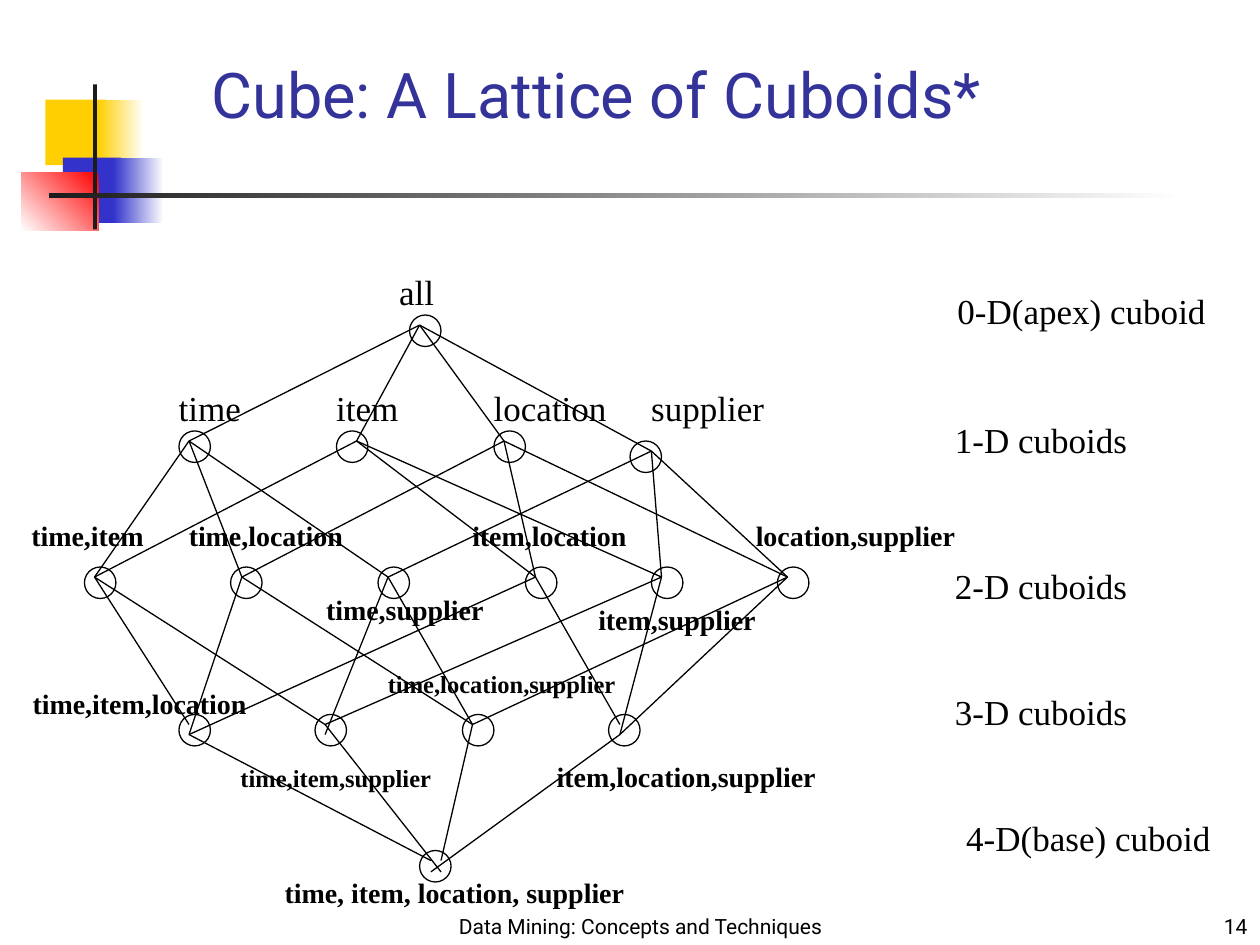
"""Build a slide showing the lattice of cuboids of a four-dimensional data cube."""
from dataclasses import dataclass

from lxml import etree
from pptx import Presentation
from pptx.dml.color import RGBColor
from pptx.enum.shapes import MSO_CONNECTOR, MSO_SHAPE
from pptx.enum.text import MSO_ANCHOR, MSO_AUTO_SIZE, PP_ALIGN
from pptx.oxml.ns import qn
from pptx.util import Inches, Pt

RECT = MSO_SHAPE.RECTANGLE
NODE = MSO_SHAPE.FLOWCHART_CONNECTOR
STRAIGHT = MSO_CONNECTOR.STRAIGHT
LEFT, CENTER, RIGHT = PP_ALIGN.LEFT, PP_ALIGN.CENTER, PP_ALIGN.RIGHT
TOP, BOTTOM = MSO_ANCHOR.TOP, MSO_ANCHOR.BOTTOM
FIT, FIXED = MSO_AUTO_SIZE.SHAPE_TO_FIT_TEXT, MSO_AUTO_SIZE.NONE


@dataclass(frozen=True)
class Theme:
    sans: str = "Roboto"
    serif: str = "Times New Roman"
    title: str = "333399"
    ink: str = "000000"
    paper: str = "FFFFFF"
    yellow: str = "FFCF01"
    blue: str = "3333CC"
    red: str = "FF0000"
    dark: str = "1C1C1C"
    title_size: int = 36
    label_size: int = 20
    cuboid_size: int = 16
    small_size: int = 14
    footer_size: int = 12
    line_width: float = 0.75
    node_size: float = 0.25


class Deck:
    def __init__(self, theme, slide):
        self.theme = theme
        self.s = slide

    def shape(self, kind, x, y, w, h):
        sp = self.s.shapes.add_shape(kind, Inches(x), Inches(y), Inches(w), Inches(h))
        sp.shadow.inherit = False
        return sp

    def block(self, x, y, w, h, color):
        sp = self.shape(RECT, x, y, w, h)
        sp.fill.solid()
        sp.fill.fore_color.rgb = RGBColor.from_string(color)
        sp.line.fill.background()

    def fade(self, x, y, w, h, start, end, angle=180):
        sp = self.shape(RECT, x, y, w, h)
        sp.fill.gradient()
        sp.fill.gradient_angle = angle
        for stop, color in zip(sp.fill.gradient_stops, (start, end)):
            stop.color.rgb = RGBColor.from_string(color)
        sp.line.fill.background()

    def node(self, x, y):
        t = self.theme
        sp = self.shape(NODE, x, y, t.node_size, t.node_size)
        sp.fill.solid()
        sp.fill.fore_color.rgb = RGBColor.from_string(t.paper)
        self.stroke(sp.line)

    def edge(self, start, end):
        c = self.s.shapes.add_connector(STRAIGHT, *map(Inches, start + end))
        etree.SubElement(c._element.spPr, qn("a:effectLst"))
        self.stroke(c.line)

    def stroke(self, line):
        line.color.rgb = RGBColor.from_string(self.theme.ink)
        line.width = Pt(self.theme.line_width)

    def text(self, words, x, y, w, h, size, font=None, color=None,
             bold=False, align=LEFT, anchor=TOP, wrap=False):
        t = self.theme
        box = self.s.shapes.add_textbox(Inches(x), Inches(y), Inches(w), Inches(h))
        tf = box.text_frame
        tf.word_wrap = wrap
        tf.auto_size = FIXED if wrap else FIT
        tf.vertical_anchor = anchor
        p = tf.paragraphs[0]
        p.text = words
        p.alignment = align
        p.font.name = font or t.serif
        p.font.size = Pt(size)
        p.font.bold = bold
        p.font.color.rgb = RGBColor.from_string(color or t.ink)


NODE_ROWS = [
    (2.5, [3.25]),
    (3.42, [1.42, 2.67, 3.92]),
    (3.5, [5]),
    (4.5, [0.67, 1.83, 3, 4.17, 5.17, 6.17]),
    (5.67, [1.42, 2.5, 3.67, 4.83]),
    (6.75, [3.33]),
]

ALL = (3.33, 2.58)
TIME, ITEM, LOCATION, SUPPLIER = (1.5, 3.5), (2.83, 3.5), (4, 3.5), (5.17, 3.58)
TI, TL, TS, IL, IS, LS = [(x, 4.58) for x in (0.75, 1.92, 3.08, 4.25, 5.25, 6.25)]
TIL, TIS, TLS, ILS = [(x, 5.75) for x in (1.5, 2.58, 3.75, 4.92)]
TIL_LOW, TIS_LOW, ILS_LOW = [(x, 5.83) for x in (1.5, 2.58, 4.92)]

FANS = {
    ALL: [TIME, ITEM, LOCATION, SUPPLIER],
    TIME: [TI, TL, TS],
    ITEM: [TI, IL, IS],
    LOCATION: [IL, LS, TL],
    SUPPLIER: [TS, IS, LS],
    TI: [TIL, TIS],
    TL: [TIL_LOW, TLS],
    TS: [TIS_LOW, TLS],
    IL: [TIL_LOW, ILS],
    IS: [TIS, ILS_LOW],
    LS: [ILS_LOW, TLS],
    TIL_LOW: [(3.42, 6.83)],
    TIS: [(3.5, 6.92)],
    TLS: [(3.5, 6.83)],
    ILS_LOW: [(3.42, 6.92)],
}

DIMENSIONS = [
    ("all", 3.07, 2.1, 0.5),
    ("time", 1.32, 3.02, 0.71),
    ("item", 2.57, 3.02, 0.71),
    ("location", 3.82, 3.02, 1.11),
    ("supplier", 5.07, 3.02, 1.11),
]
CUBOIDS = [
    ("time,item", 0.15, 4.07, 1.11),
    ("time,location", 1.4, 4.07, 1.44),
    ("time,supplier", 2.49, 4.65, 1.47),
    ("item,location", 3.65, 4.07, 1.44),
    ("item,supplier", 4.65, 4.73, 1.47),
    ("location,supplier", 5.9, 4.07, 1.8),
    ("time,item,location", 0.16, 5.4, 1.92),
    ("item,location,supplier", 4.32, 5.98, 2.27),
    ("time, item, location, supplier", 2.16, 6.9, 2.91),
]
SMALL_CUBOIDS = [
    ("time,item,supplier", 1.81, 6.01, 1.73),
    ("time,location,supplier", 2.98, 5.26, 2.03),
]
LEVELS = [
    ("0-D(apex) cuboid", 7.5, 2.25, 2.19),
    ("1-D cuboids", 7.48, 3.27, 1.59),
    ("2-D cuboids", 7.48, 4.43, 1.59),
    ("3-D cuboids", 7.48, 5.43, 1.59),
    ("4-D(base) cuboid", 7.57, 6.43, 2.16),
]


def main():
    t = Theme()
    prs = Presentation()
    prs.slide_width, prs.slide_height = Inches(10), Inches(7.5)
    deck = Deck(t, prs.slides.add_slide(prs.slide_layouts[6]))

    deck.block(0.36, 0.79, 0.48, 0.52, t.yellow)
    deck.fade(0.78, 0.79, 0.36, 0.52, t.paper, t.yellow)
    deck.block(0.5, 1.25, 0.46, 0.52, t.blue)
    deck.fade(0.9, 1.25, 0.4, 0.52, t.paper, t.blue)
    deck.fade(0.17, 1.37, 0.61, 0.46, t.red, t.paper, angle=225)
    deck.block(0.74, 0.67, 0.03, 1.15, t.dark)
    deck.fade(0.39, 1.53, 9, 0.04, t.paper, t.dark)
    deck.text("Cube: A Lattice of Cuboids*", 1.58, 0.42, 6.33, 0.67, t.title_size,
              t.sans, t.title, anchor=BOTTOM, wrap=True)

    for y, xs in NODE_ROWS:
        for x in xs:
            deck.node(x, y)
    for start, ends in FANS.items():
        for end in ends:
            deck.edge(start, end)

    for words, x, y, w in DIMENSIONS + LEVELS:
        deck.text(words, x, y, w, 0.44, t.label_size)
    for words, x, y, w in CUBOIDS:
        deck.text(words, x, y, w, 0.37, t.cuboid_size, bold=True)
    for words, x, y, w in SMALL_CUBOIDS:
        deck.text(words, x, y, w, 0.34, t.small_size, bold=True)

    deck.text("Data Mining: Concepts and Techniques", 3.5, 6.92, 3.17, 0.58,
              t.footer_size, t.sans, align=CENTER, anchor=BOTTOM, wrap=True)
    deck.text("14", 7.92, 7, 2.08, 0.5, t.footer_size, t.sans,
              align=RIGHT, anchor=BOTTOM, wrap=True)
    prs.save("out.pptx")


if __name__ == "__main__":
    main()
